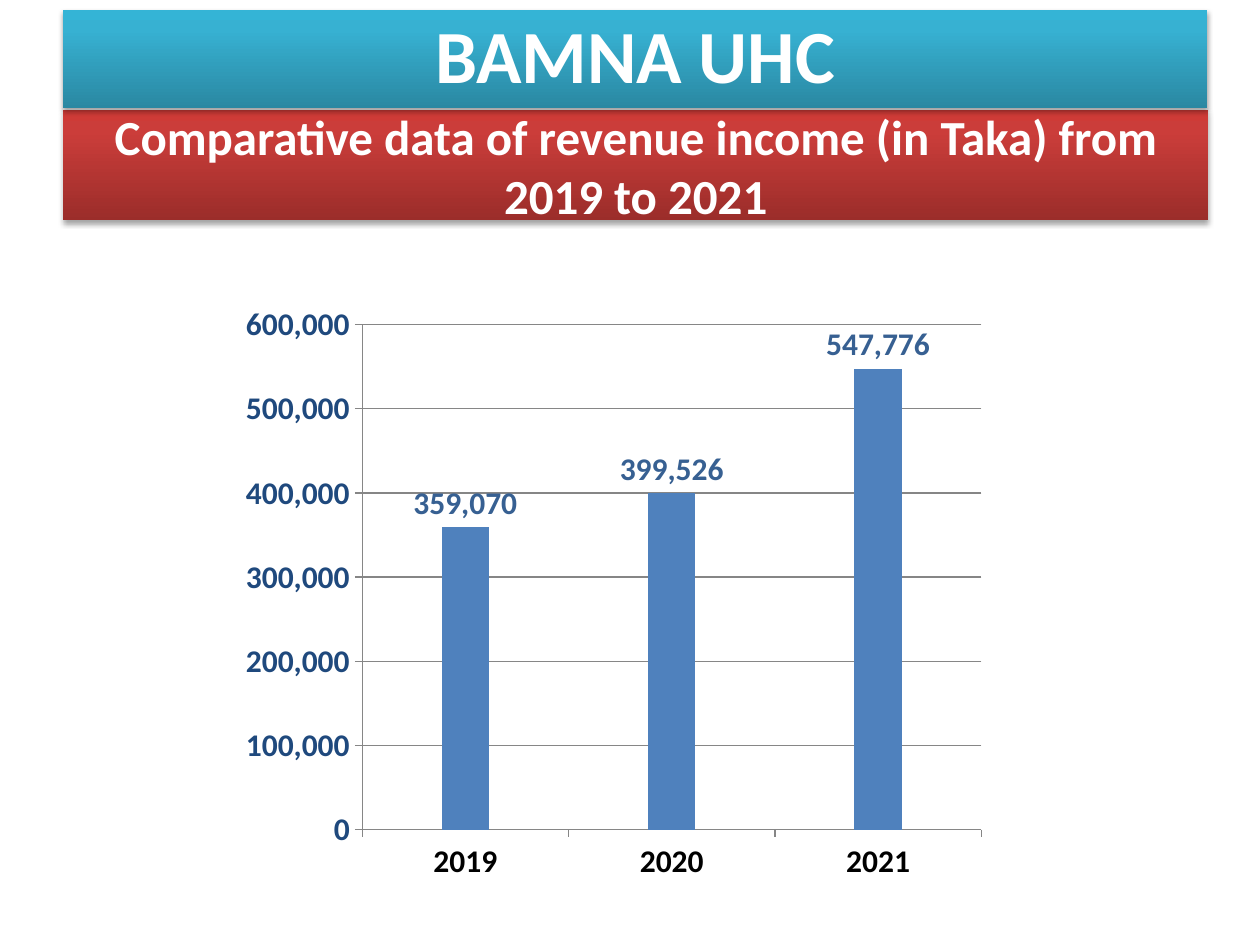
from dataclasses import dataclass

from lxml import etree
from pptx import Presentation
from pptx.chart.data import CategoryChartData
from pptx.dml.color import RGBColor
from pptx.enum import chart as charts, shapes, text
from pptx.oxml import parse_xml
from pptx.oxml.ns import nsdecls
from pptx.util import Inches, Pt

FONT = "Calibri"


@dataclass
class Banner:
    caption: str
    left: float
    top: float
    width: float
    height: float
    size: float
    line_spacing: float
    stops: tuple[tuple[int, str], ...]


HEADING = Banner("BAMNA UHC", 0.5, 0.08, 9.08, 0.78, 42.9, 0.9,
                 ((0, "2A88A2"), (80, "37B1D2"), (100, "34B4D6")))
SUBTITLE = Banner("Comparative data of revenue income (in Taka) from 2019 to 2021",
                  0.5, 0.87, 9.09, 0.88, 28, 1.0,
                  ((0, "9B2D2A"), (80, "CB3D3A"), (100, "CE3B37")))
INCOME = {"2019": 359070, "2020": 399526, "2021": 547776}


def color(value: str) -> RGBColor:
    return RGBColor.from_string(value)


def format_font(font, size: float, value: str, bold: bool = True) -> None:
    font.name = FONT
    font.size = Pt(size)
    font.bold = bold
    font.color.rgb = color(value)


def add_gradient(shape, stops: tuple[tuple[int, str], ...]) -> None:
    """Fill from the first stop at the bottom to the last at the top."""
    stop_xml = "".join(
        f'<a:gs pos="{position * 1000}"><a:srgbClr val="{value}"/></a:gs>'
        for position, value in stops)
    shape._element.spPr.append(parse_xml(
        f'<a:gradFill {nsdecls("a")} rotWithShape="1"><a:gsLst>{stop_xml}</a:gsLst>'
        '<a:lin ang="16200000" scaled="0"/></a:gradFill>'))


def add_shadow(shape) -> None:
    shape._element.spPr.append(parse_xml(
        f'<a:effectLst {nsdecls("a")}><a:outerShdw blurRad="{Pt(3.1)}" dist="{Pt(1.8)}" '
        'dir="5400000" rotWithShape="0"><a:srgbClr val="000000"><a:alpha val="35000"/>'
        '</a:srgbClr></a:outerShdw></a:effectLst>'))


def format_banner(shape, banner: Banner) -> None:
    shape.left, shape.top = Inches(banner.left), Inches(banner.top)
    shape.width, shape.height = Inches(banner.width), Inches(banner.height)
    add_gradient(shape, banner.stops)
    shape.line.fill.background()
    add_shadow(shape)

    frame = shape.text_frame
    frame.text = banner.caption
    frame.word_wrap = True
    frame.auto_size = text.MSO_AUTO_SIZE.NONE
    frame.vertical_anchor = text.MSO_ANCHOR.MIDDLE
    paragraph = frame.paragraphs[0]
    paragraph.alignment = text.PP_ALIGN.CENTER
    paragraph.line_spacing = banner.line_spacing
    format_font(paragraph.runs[0].font, banner.size, "FFFFFF")


def add_income_chart(slide) -> None:
    data = CategoryChartData(number_format="#,##0")
    data.categories = list(INCOME)
    data.add_series("Series 1", list(INCOME.values()))
    chart = slide.shapes.add_chart(
        charts.XL_CHART_TYPE.COLUMN_CLUSTERED, Inches(1.83), Inches(2.33),
        Inches(6.08), Inches(4.75), data).chart
    chart.has_legend = False
    chart.has_title = False
    format_font(chart.font, 18, "000000", bold=False)

    for axis, axis_color in ((chart.category_axis, "000000"),
                             (chart.value_axis, "1F497D")):
        axis.major_tick_mark = charts.XL_TICK_MARK.OUTSIDE
        axis.minor_tick_mark = charts.XL_TICK_MARK.NONE
        axis.format.line.color.rgb = color("868686")
        format_font(axis.tick_labels.font, 18, axis_color)

    value_axis = chart.value_axis
    value_axis.minimum_scale, value_axis.maximum_scale = 0, 600000
    value_axis.major_unit = 100000
    value_axis.has_major_gridlines = True
    value_axis.major_gridlines.format.line.color.rgb = color("868686")
    value_axis.tick_labels.number_format = "#,##0"
    value_axis.tick_labels.number_format_is_linked = False

    plot = chart.plots[0]
    plot.gap_width = 335
    plot.vary_by_categories = False
    series = plot.series[0]
    series.format.fill.solid()
    series.format.fill.fore_color.rgb = color("4F81BD")
    labels = series.data_labels
    labels.show_value = True
    labels.number_format = "#,##0"
    labels.number_format_is_linked = False
    labels.position = charts.XL_LABEL_POSITION.OUTSIDE_END
    format_font(labels.font, 18, "376092")


def main() -> None:
    presentation = Presentation()
    presentation.slide_width = Inches(10)
    presentation.slide_height = Inches(7.5)
    slide = presentation.slides.add_slide(presentation.slide_layouts[5])

    format_banner(slide.shapes.title, SUBTITLE)
    add_income_chart(slide)
    heading = slide.shapes.add_shape(shapes.MSO_SHAPE.RECTANGLE, 0, 0, 0, 0)
    format_banner(heading, HEADING)
    presentation.save("out.pptx")


if __name__ == "__main__":
    main()
